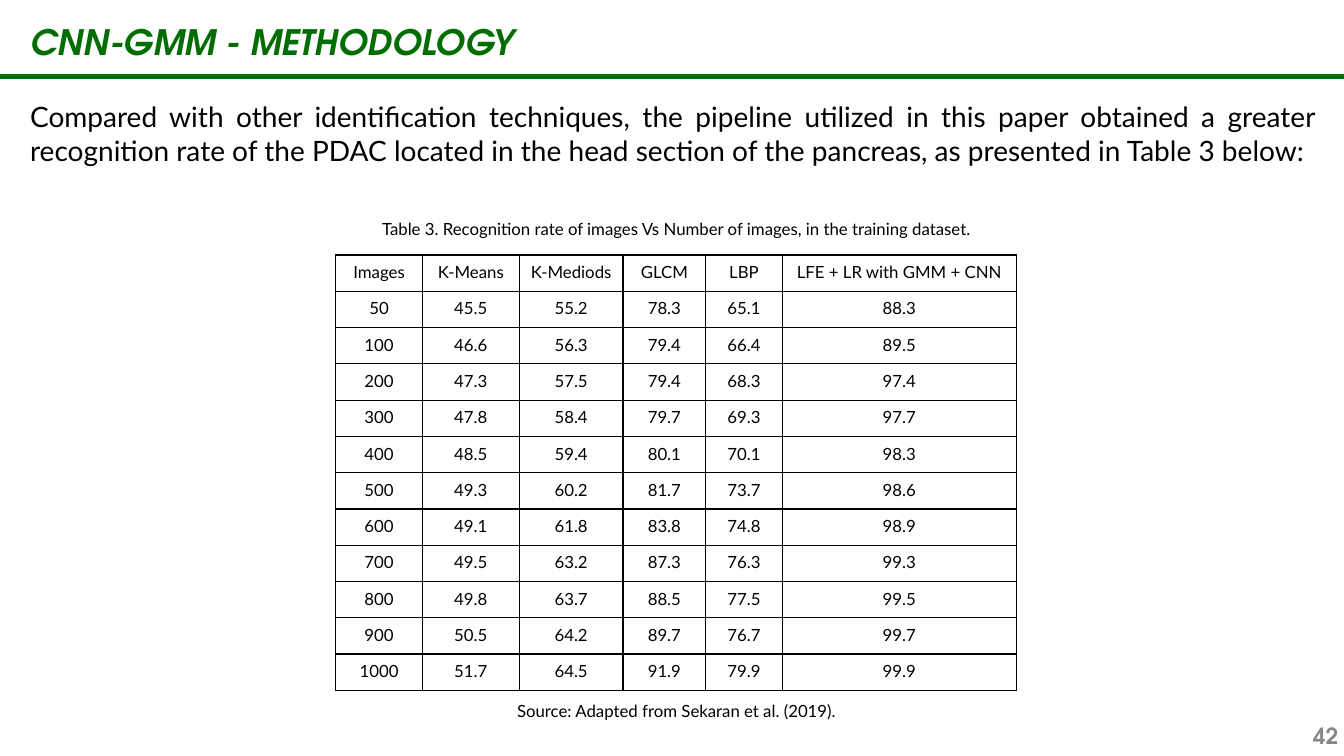
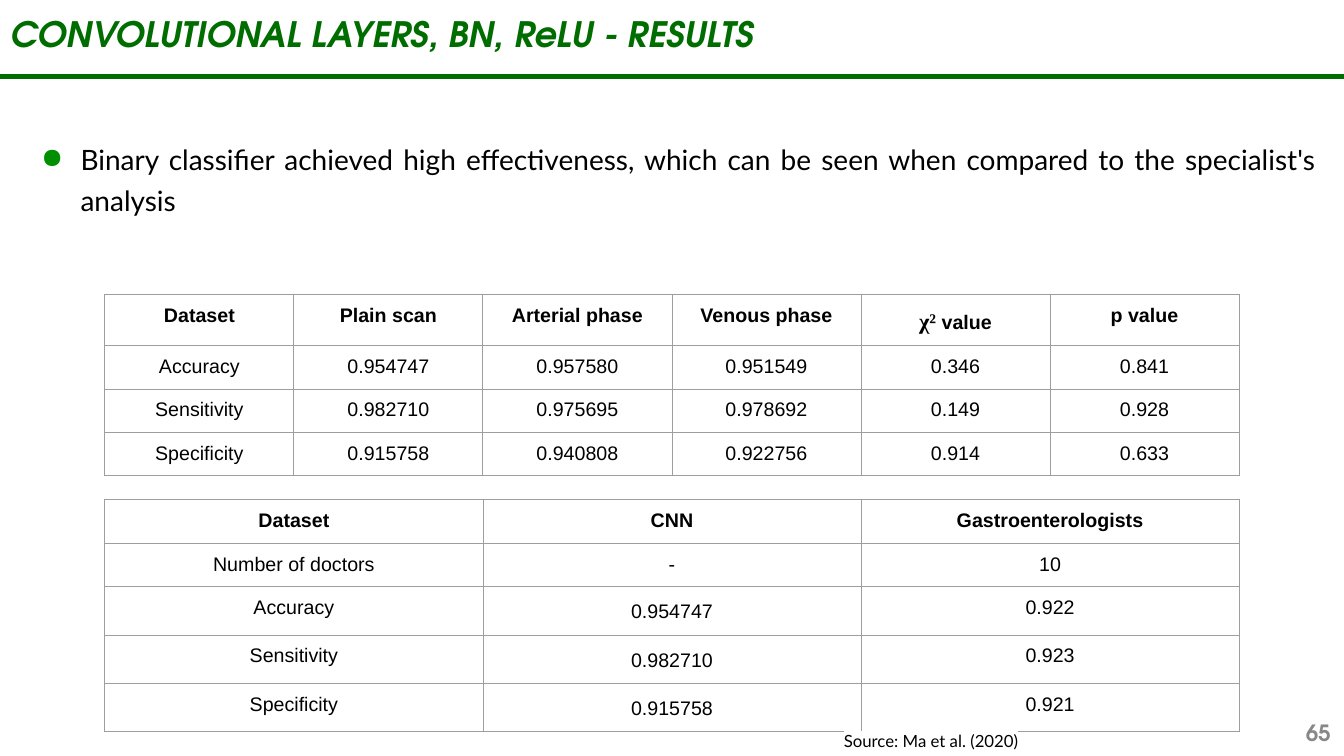
import pptx
import pptx.util
import pptx.dml.color
import pptx.enum.shapes
import pptx.enum.text
import pptx.oxml
import pptx.oxml.ns

Inches, Pt = pptx.util.Inches, pptx.util.Pt
RGBColor = pptx.dml.color.RGBColor
ALIGN = pptx.enum.text.PP_ALIGN
ANCHOR = pptx.enum.text.MSO_ANCHOR

# Shared style
GREEN = RGBColor(0x00, 0x6D, 0x00)
BULLET_GREEN = RGBColor(0x00, 0x8F, 0x00)
BLACK = RGBColor(0x00, 0x00, 0x00)
WHITE = RGBColor(0xFF, 0xFF, 0xFF)
GRAY = RGBColor(0x88, 0x88, 0x88)
GRID_GRAY = RGBColor(0x9E, 0x9E, 0x9E)
DISPLAY, BODY, TABLE_FONT, SYMBOL = (
    "TeX Gyre Adventor", "Lato", "Arial", "Times New Roman")

# Content
RATE_INTRO = (
    "Compared with other identification techniques, the pipeline utilized in this "
    "paper obtained a greater recognition rate of the PDAC located in the head "
    "section of the pancreas, as presented in Table 3 below:")
RATE_CAPTION = (
    "Table 3. Recognition rate of images Vs Number of images, in the training dataset.")
RATE_ROWS = [
    ("Images", "K-Means", "K-Mediods", "GLCM", "LBP", "LFE + LR with GMM + CNN"),
    ("50", "45.5", "55.2", "78.3", "65.1", "88.3"),
    ("100", "46.6", "56.3", "79.4", "66.4", "89.5"),
    ("200", "47.3", "57.5", "79.4", "68.3", "97.4"),
    ("300", "47.8", "58.4", "79.7", "69.3", "97.7"),
    ("400", "48.5", "59.4", "80.1", "70.1", "98.3"),
    ("500", "49.3", "60.2", "81.7", "73.7", "98.6"),
    ("600", "49.1", "61.8", "83.8", "74.8", "98.9"),
    ("700", "49.5", "63.2", "87.3", "76.3", "99.3"),
    ("800", "49.8", "63.7", "88.5", "77.5", "99.5"),
    ("900", "50.5", "64.2", "89.7", "76.7", "99.7"),
    ("1000", "51.7", "64.5", "91.9", "79.9", "99.9"),
]
CLASSIFIER_POINT = (
    "Binary classifier achieved high effectiveness, which can be seen when compared "
    "to the specialist's analysis")
PHASE_ROWS = [
    ("Dataset", "Plain scan", "Arterial phase", "Venous phase", "χ² value", "p value"),
    ("Accuracy", "0.954747", "0.957580", "0.951549", "0.346", "0.841"),
    ("Sensitivity", "0.982710", "0.975695", "0.978692", "0.149", "0.928"),
    ("Specificity", "0.915758", "0.940808", "0.922756", "0.914", "0.633"),
]
DOCTOR_ROWS = [
    ("Dataset", "CNN", "Gastroenterologists"),
    ("Number of doctors", "-", "10"),
    ("Accuracy", "0.954747", "0.922"),
    ("Sensitivity", "0.982710", "0.923"),
    ("Specificity", "0.915758", "0.921"),
]


def add_run(p, text, size, font=BODY, color=BLACK, bold=False, italic=False):
    r = p.add_run()
    r.text = text
    r.font.size, r.font.name = Pt(size), font
    r.font.bold, r.font.italic = bold, italic
    r.font.color.rgb = color
    return r


def set_frame(tf, inset_y=0.05, anchor=ANCHOR.TOP):
    tf.word_wrap = True
    tf.auto_size = pptx.enum.text.MSO_AUTO_SIZE.NONE
    tf.vertical_anchor = anchor
    tf.margin_left = tf.margin_right = Inches(0.1)
    tf.margin_top = tf.margin_bottom = Inches(inset_y)


def add_text(s, box, text, size, align, inset_y=0.05, anchor=ANCHOR.TOP, **style):
    tf = s.shapes.add_textbox(*map(Inches, box)).text_frame
    set_frame(tf, inset_y, anchor)
    p = tf.paragraphs[0]
    p.alignment = align
    return p, add_run(p, text, size, **style)


def add_bullet(p, color):
    pPr = p._p.get_or_add_pPr()
    pPr.set("marL", str(Inches(0.5)))
    pPr.set("indent", str(Inches(-0.39)))
    ns = pptx.oxml.ns.nsdecls("a")
    for xml in (f'<a:buClr {ns}><a:srgbClr val="{color}"/></a:buClr>',
                f'<a:buChar {ns} char="●"/>'):
        pPr.append(pptx.oxml.parse_xml(xml))


def highlight(r, color):
    fill = r._r.get_or_add_rPr().find(pptx.oxml.ns.qn("a:solidFill"))
    fill.addnext(pptx.oxml.parse_xml(
        f'<a:highlight {pptx.oxml.ns.nsdecls("a")}>'
        f'<a:srgbClr val="{color}"/></a:highlight>'))


def set_borders(cell, color, width):
    tcPr = cell._tc.get_or_add_tcPr()
    for i, side in enumerate(("lnL", "lnR", "lnT", "lnB")):
        tcPr.insert(i, pptx.oxml.parse_xml(
            f'<a:{side} {pptx.oxml.ns.nsdecls("a")} w="{Pt(width)}">'
            f'<a:solidFill><a:srgbClr val="{color}"/></a:solidFill></a:{side}>'))


def add_grid(s, left, top, rows, widths, heights, size, font, border, inset,
             bold_header=False, spaced=()):
    """Add a centred, unfilled table; spaced lists cells with 1.2 line spacing."""
    table = s.shapes.add_table(
        len(rows), len(widths), Inches(left), Inches(top),
        Inches(sum(widths)), Inches(sum(heights))).table
    table.first_row = table.horz_banding = False
    for col, width in zip(table.columns, widths):
        col.width = Inches(width)
    for i, (values, height) in enumerate(zip(rows, heights)):
        table.rows[i].height = Inches(height)
        for j, value in enumerate(values):
            cell = table.cell(i, j)
            cell.fill.background()
            set_borders(cell, *border)
            cell.margin_left = cell.margin_right = Inches(inset)
            cell.margin_top = cell.margin_bottom = Inches(inset)
            p = cell.text_frame.paragraphs[0]
            p.alignment = ALIGN.CENTER
            if (i, j) in spaced:
                p.line_spacing = 1.2
            bold = bold_header and i == 0
            if value.startswith("χ²"):
                add_run(p, "χ²", 16, SYMBOL, bold=bold)
                value = value.removeprefix("χ²")
            add_run(p, value, size, font, bold=bold)


def add_slide(prs, title_box, title_parts, number, number_at):
    """Add a slide with its title, green rule and page number."""
    s = prs.slides.add_slide(prs.slide_layouts[5])
    title = s.shapes.title
    title.left, title.top, title.width, title.height = map(Inches, title_box)
    set_frame(title.text_frame)
    p = title.text_frame.paragraphs[0]
    p.alignment = ALIGN.LEFT
    for text in title_parts:
        if text.isspace():
            add_run(p, text, 28, bold=True)
        else:
            add_run(p, text, 25, DISPLAY, GREEN, bold=True, italic=True)

    rule = s.shapes.add_connector(
        pptx.enum.shapes.MSO_CONNECTOR.STRAIGHT,
        0, Inches(0.76), Inches(13.35), Inches(0.76))
    rule.line.color.rgb, rule.line.width = GREEN, Pt(3.5)
    rule._element.spPr.append(pptx.oxml.parse_xml(
        f'<a:effectLst {pptx.oxml.ns.nsdecls("a")}/>'))

    add_text(s, (*number_at, 3, 0.4), number, 16, ALIGN.RIGHT,
             anchor=ANCHOR.MIDDLE, font=DISPLAY, color=GRAY, bold=True)
    return s


def build_methodology(prs):
    s = add_slide(prs, (0.2, 0.11, 10.37, 0.57),
                  ("CNN-GMM", " ", "- METHODOLOGY"), "42", (10.37, 7.1))
    add_text(s, (0.2, 0.94, 12.95, 1.11), RATE_INTRO, 20, ALIGN.JUSTIFY)
    add_grid(s, 3.33, 2.53, RATE_ROWS, (0.86, 0.96, 1.03, 0.82, 0.76, 2.32),
             [0.36] * len(RATE_ROWS), 12, BODY, (BLACK, 1), 0.07)
    add_text(s, (3.32, 2.01, 6.78, 0.52), RATE_CAPTION, 12, ALIGN.CENTER,
             inset_y=0.1, anchor=ANCHOR.MIDDLE)
    add_text(s, (4.62, 6.85, 4.18, 0.4), "Source: Adapted from Sekaran et al. (2019).",
             12, ALIGN.CENTER, inset_y=0.1)


def build_results(prs):
    s = add_slide(prs, (0, 0.07, 10.37, 0.52),
                  ("CONVOLUTIONAL LAYERS, BN, ReLU - RESULTS",), "65", (10.3, 7.07))
    p, _ = add_text(s, (0.2, 1.3, 12.95, 0.9), CLASSIFIER_POINT, 20, ALIGN.JUSTIFY)
    p.line_spacing = 1.2
    add_bullet(p, BULLET_GREEN)

    # Both tables share one look and nearly the same total width
    look = dict(size=14, font=TABLE_FONT, border=(GRID_GRAY, 0.75), inset=0.1,
                bold_header=True)
    add_grid(s, 1.04, 2.92, PHASE_ROWS, [1.875] * 6, [0.51] + [0.43] * 3,
             spaced={(0, 4)}, **look)
    add_grid(s, 1.04, 4.96, DOCTOR_ROWS, [3.75] * 3, [0.43] * 2 + [0.48] * 3,
             spaced={(i, 1) for i in (2, 3, 4)}, **look)

    _, r = add_text(s, (7.95, 7.15, 2.57, 0.4), "Source: Ma et al. (2020)", 12,
                    ALIGN.CENTER, inset_y=0.1)
    highlight(r, WHITE)


def main():
    prs = pptx.Presentation()
    prs.slide_width, prs.slide_height = Inches(13.33), Inches(7.5)
    build_methodology(prs)
    build_results(prs)
    prs.save("out.pptx")


if __name__ == "__main__":
    main()
